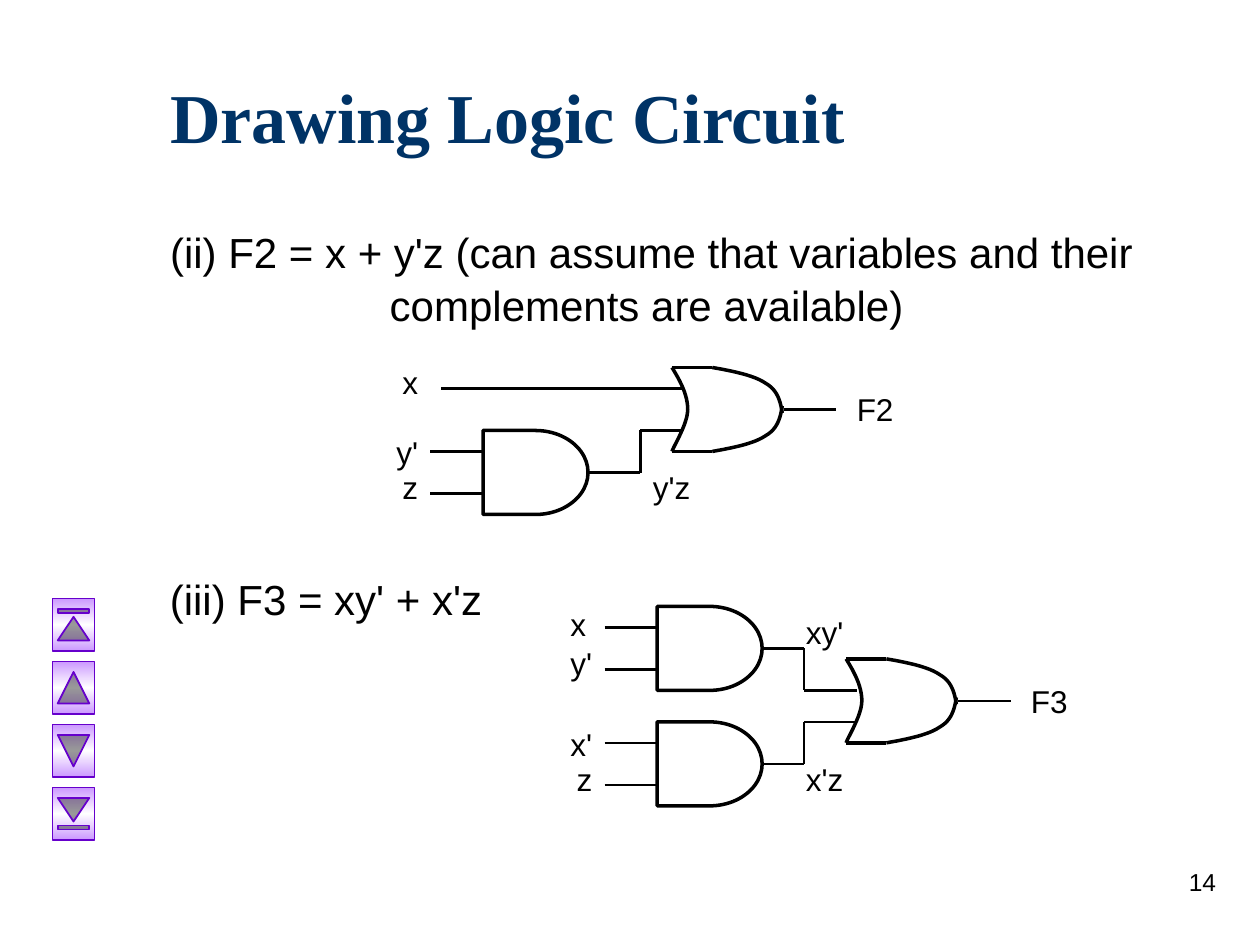
from lxml.etree import SubElement as Sub
from pptx import Presentation
from pptx.dml.color import RGBColor
from pptx.enum.shapes import MSO_CONNECTOR as Link, MSO_SHAPE as Shape
from pptx.enum.text import MSO_ANCHOR as Anchor, MSO_AUTO_SIZE as Fit, PP_ALIGN as Align
from pptx.oxml import parse_xml
from pptx.oxml.ns import nsdecls, qn
from pptx.util import Pt

TITLE = "Drawing Logic Circuit"
BODY = ["(ii) F2 = x + y'z (can assume that variables and their",
        "complements are available)"]
THIRD = "(iii) F3 = xy' + x'z"
NUMBER = "14"

# Each AND gate: left, top, x of the bend, y where its wire enters the OR gate
CIRCUITS = [
    {"or": (384, 210), "ands": [(276, 246, 366, 246)],
     "wires": [(252, 222, 390, 222)]},
    {"or": (483.5, 376.5),
     "ands": [(375.5, 346.5, 459.5, 394.5), (375.5, 412.5, 459.5, 412.5)],
     "wires": []},
]
# Text, left, top, width
INPUTS = [("x", 222, 204, 24), ("y'", 216, 244, 30), ("z", 222, 264, 24),
          ("x", 312, 342, 30), ("y'", 315.5, 364.5, 30),
          ("x'", 315.5, 410.5, 30), ("z", 321.5, 430.5, 24)]
OUTPUTS = [("F2", 482.5, 219.5, 42), ("y'z", 366, 264, 36),
           ("F3", 582, 386, 42), ("xy'", 453.5, 346.5, 36),
           ("x'z", 453.5, 430.5, 36)]
BUTTONS = [Shape.ACTION_BUTTON_BEGINNING, Shape.ACTION_BUTTON_BACK_OR_PREVIOUS,
           Shape.ACTION_BUTTON_FORWARD_OR_NEXT, Shape.ACTION_BUTTON_END]

AND_W, AND_H = 60, 48
OR_H, OR_EDGE, OR_TIP = 48, 23, 64
BACK = [(0, 0), (5, 8), (9, 16), (9, 24), (9, 32), (1.5, 44), (0, 48)]
ARC = [(23, 0), (34.5, 2), (47, 4.5), (53.5, 9), (60.5, 13), (62, 19.5), (63, 26)]

prs = Presentation()
prs.slide_width, prs.slide_height = Pt(720), Pt(540)
slide = prs.slides.add_slide(prs.slide_layouts[1])
shapes = slide.shapes


def color(code):
    return RGBColor.from_string(code)


def write(par, text, size, font="Arial", code="000000", bold=False):
    run = par.add_run()
    run.text = text
    run.font.size, run.font.name, run.font.bold = Pt(size), font, bold
    run.font.color.rgb = color(code)


def place(shape, left, top, width, height):
    shape.left, shape.top = Pt(left), Pt(top)
    shape.width, shape.height = Pt(width), Pt(height)


def label(text, left, top, width, height=29, size=18, align=Align.LEFT):
    box = shapes.add_textbox(Pt(left), Pt(top), Pt(width), Pt(height))
    box.text_frame.word_wrap = True
    par = box.text_frame.paragraphs[0]
    par.alignment = align
    write(par, text, size)


def ink(shape, width, code="000000"):
    shape.line.color.rgb = color(code)
    shape.line.width = Pt(width)


def wire(x1, y1, x2, y2, width=1.5, gate=None):
    """Draw a line; if a gate is given, start it at the gate's right side."""
    line = shapes.add_connector(Link.STRAIGHT, Pt(x1), Pt(y1), Pt(x2), Pt(y2))
    if gate is not None:
        line.begin_connect(gate, 3)
    ink(line, width)
    Sub(line._element.spPr, qn("a:effectLst"))


def bezier(nodes, steps=12):
    """Sample a chain of cubic curves given as start, control, control, end, ..."""
    dots = [nodes[0]]
    for i in range(0, len(nodes) - 1, 3):
        for k in range(1, steps + 1):
            t = k / steps
            mix = ((1 - t) ** 3, 3 * t * (1 - t) ** 2, 3 * t * t * (1 - t), t ** 3)
            dots.append(tuple(sum(m * n[axis] for m, n in zip(mix, nodes[i:i + 4]))
                              for axis in (0, 1)))
    return dots


def curve(nodes, left, top):
    dots = [(Pt(left + x), Pt(top + y)) for x, y in bezier(nodes)]
    form = shapes.build_freeform(*dots[0])
    form.add_line_segments(dots[1:], close=False)
    shape = form.convert_to_shape()
    shape.fill.background()
    shape.shadow.inherit = False
    ink(shape, 2)


def and_gate(left, top, bend, entry, end):
    gate = shapes.add_shape(Shape.FLOWCHART_DELAY, Pt(left), Pt(top), Pt(AND_W), Pt(AND_H))
    gate.fill.background()
    gate.shadow.inherit = False
    ink(gate, 2)
    for y in (top + AND_H / 4, top + AND_H * 3 / 4):
        wire(left - 30, y, left, y)
    mid = top + AND_H / 2
    wire(left + AND_W, mid, bend, mid, gate=gate)
    wire(bend, mid, bend, entry)
    wire(bend, entry, end, entry)


def or_gate(left, top):
    curve(BACK, left, top)
    curve(ARC, left, top)
    curve([(x, OR_H - y) for x, y in ARC], left, top)
    for y in (top, top + OR_H):
        wire(left, y, left + OR_EDGE, y, 2)
    mid = top + OR_H / 2
    wire(left + OR_TIP, mid, left + OR_TIP + 30, mid)


def button(kind, top):
    shape = shapes.add_shape(kind, Pt(27), Pt(top), Pt(30), Pt(24))
    shape.rotation = 90
    shape.shadow.inherit = False
    ink(shape, 1, "6600CC")
    stops = "".join(f'<a:gs pos="{pos}000"><a:srgbClr val="{code}"/></a:gs>'
                    for pos, code in ((0, "CC99FF"), (50, "FFFFFF"), (100, "CC99FF")))
    shape._element.spPr.find(qn("a:prstGeom")).addnext(parse_xml(
        f'<a:gradFill {nsdecls("a")} rotWithShape="0"><a:gsLst>{stops}</a:gsLst>'
        '<a:lin ang="5400000" scaled="1"/></a:gradFill>'))


title, body = slide.placeholders[0], slide.placeholders[1]
place(title, 90, 36, 612, 60)
title.text_frame.vertical_anchor = Anchor.MIDDLE
title.text_frame.auto_size = Fit.NONE
title.text_frame.paragraphs[0].alignment = Align.LEFT
write(title.text_frame.paragraphs[0], TITLE, 40, "Times New Roman", "003366", True)

place(body, 90, 126, 612, 69)
frame = body.text_frame
frame.auto_size = Fit.NONE
for i, (text, indent, before) in enumerate(zip(BODY, (0, 125.5), (0, 1.5))):
    par = frame.add_paragraph() if i else frame.paragraphs[0]
    props = par._p.get_or_add_pPr()
    props.set("marL", str(Pt(indent)))
    props.set("indent", "0")
    Sub(props, qn("a:buNone"))
    par.space_before = Pt(before)
    write(par, text, 24)

label(THIRD, 90, 324, 204.5, 41, 24)
for circuit in CIRCUITS:
    left, top = circuit["or"]
    for gate in circuit["ands"]:
        and_gate(*gate, left + 6)
    for ends in circuit["wires"]:
        wire(*ends)
    or_gate(left, top)
for item in INPUTS:
    label(*item, align=Align.RIGHT)
for item in OUTPUTS:
    label(*item)
for i, kind in enumerate(BUTTONS):
    button(kind, 345 + 36 * i)
label(NUMBER, 552, 492, 150, 36, 14, Align.RIGHT)

prs.save("out.pptx")
